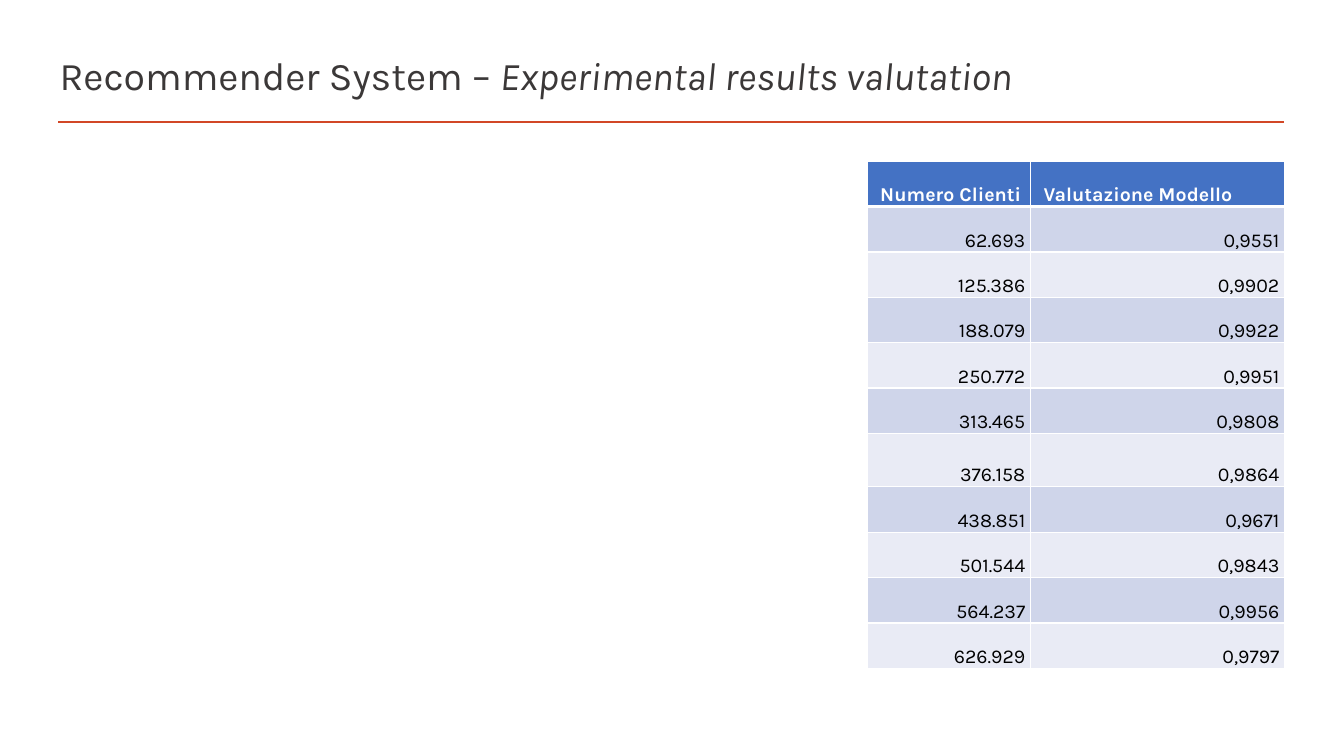
from dataclasses import dataclass

from lxml.etree import SubElement
from pptx import Presentation
from pptx.dml.color import RGBColor
from pptx.enum.shapes import MSO_CONNECTOR
from pptx.enum.text import MSO_ANCHOR, MSO_AUTO_SIZE, PP_ALIGN
from pptx.oxml.ns import qn
from pptx.slide import Slide
from pptx.table import _Cell
from pptx.text.text import _Paragraph
from pptx.util import Inches, Pt


@dataclass(frozen=True)
class Theme:
    font: str = "Karla"
    title_size: int = 28
    table_size: int = 14
    title: str = "3B3838"
    rule: str = "D24726"
    header: str = "4472C4"
    bands: tuple[str, str] = ("CFD5EA", "E9EBF5")
    white: str = "FFFFFF"
    black: str = "000000"


@dataclass(frozen=True)
class Result:
    customers: str
    score: str


THEME = Theme()
HEADER = Result("Numero Clienti", "Valutazione Modello")
RESULTS = [
    Result("62.693", "0,9551"),
    Result("125.386", "0,9902"),
    Result("188.079", "0,9922"),
    Result("250.772", "0,9951"),
    Result("313.465", "0,9808"),
    Result("376.158", "0,9864"),
    Result("438.851", "0,9671"),
    Result("501.544", "0,9843"),
    Result("564.237", "0,9956"),
    Result("626.929", "0,9797"),
]
COLUMN_WIDTHS = (1.62, 2.52)
ROW_HEIGHT = 0.45
TALL_ROW, TALL_HEIGHT = 6, 0.53


def add_span(para: _Paragraph, text: str, *, size: int, color: str,
             bold: bool = False, italic: bool = False) -> None:
    span = para.add_run()
    span.text = text
    span.font.name = THEME.font
    span.font.size = Pt(size)
    span.font.bold = bold
    span.font.italic = italic
    span.font.color.rgb = RGBColor.from_string(color)


def add_title(page: Slide) -> None:
    title = page.shapes.title
    title.left, title.top = Inches(0.49), Inches(0.47)
    title.width, title.height = Inches(12.26), Inches(0.61)
    frame = title.text_frame
    frame.word_wrap = True
    frame.auto_size = MSO_AUTO_SIZE.NONE
    frame.vertical_anchor = MSO_ANCHOR.MIDDLE
    para = frame.paragraphs[0]
    para.alignment = PP_ALIGN.LEFT
    para.line_spacing = 0.9
    look = {"size": THEME.title_size, "color": THEME.title}
    add_span(para, "Recommender System – ", **look)
    add_span(para, "Experimental results valutation", italic=True, **look)


def add_rule(page: Slide) -> None:
    rule = page.shapes.add_connector(
        MSO_CONNECTOR.STRAIGHT, Inches(0.58), Inches(1.21), Inches(12.74), Inches(1.21))
    rule.line.color.rgb = RGBColor.from_string(THEME.rule)
    rule.line.width = Pt(2)
    SubElement(rule._element.spPr, qn("a:effectLst"))


def add_borders(cell: _Cell, *, top: float = 1, bottom: float = 1) -> None:
    """Draw white cell borders; call before filling, as the schema puts lines first."""
    properties = cell._tc.get_or_add_tcPr()
    for side, width in (("L", 1), ("R", 1), ("T", top), ("B", bottom)):
        line = SubElement(properties, qn(f"a:ln{side}"), w=str(Pt(width)))
        fill = SubElement(line, qn("a:solidFill"))
        SubElement(fill, qn("a:srgbClr"), val=THEME.white)


def fill_cell(cell: _Cell, text: str, *, fill: str, color: str,
              align: PP_ALIGN, bold: bool) -> None:
    cell.fill.solid()
    cell.fill.fore_color.rgb = RGBColor.from_string(fill)
    cell.vertical_anchor = MSO_ANCHOR.BOTTOM
    cell.margin_left = cell.margin_right = Inches(0.05)
    cell.margin_top = cell.margin_bottom = 0
    para = cell.text_frame.paragraphs[0]
    para.alignment = align
    para.line_spacing = 1.03
    para.space_after = Pt(0.1)
    indent = para._p.get_or_add_pPr()
    indent.set("marL", str(Inches(0.09)))
    indent.set("indent", str(Inches(-0.01)))
    add_span(para, text, size=THEME.table_size, color=color, bold=bold)


def add_results(page: Slide) -> None:
    records = [HEADER, *RESULTS]
    heights = [TALL_HEIGHT if row == TALL_ROW else ROW_HEIGHT for row in range(len(records))]
    table = page.shapes.add_table(
        len(records), len(COLUMN_WIDTHS), Inches(8.6), Inches(1.6),
        Inches(sum(COLUMN_WIDTHS)), Inches(sum(heights))).table
    for column, width in zip(table.columns, COLUMN_WIDTHS):
        column.width = Inches(width)
    for row, (record, height) in enumerate(zip(records, heights)):
        table.rows[row].height = Inches(height)
        is_header = row == 0
        for column, text in enumerate((record.customers, record.score)):
            cell = table.cell(row, column)
            add_borders(cell, top=3 if row == 1 else 1, bottom=3 if is_header else 1)
            fill_cell(
                cell, text, bold=is_header,
                fill=THEME.header if is_header else THEME.bands[(row - 1) % 2],
                color=THEME.white if is_header else THEME.black,
                align=PP_ALIGN.LEFT if is_header else PP_ALIGN.RIGHT)


def main() -> None:
    deck = Presentation()
    deck.slide_width, deck.slide_height = Inches(13.33), Inches(7.5)
    page = deck.slides.add_slide(deck.slide_layouts.get_by_name("Title Only"))
    add_rule(page)
    add_title(page)
    add_results(page)
    deck.save("out.pptx")


if __name__ == "__main__":
    main()
